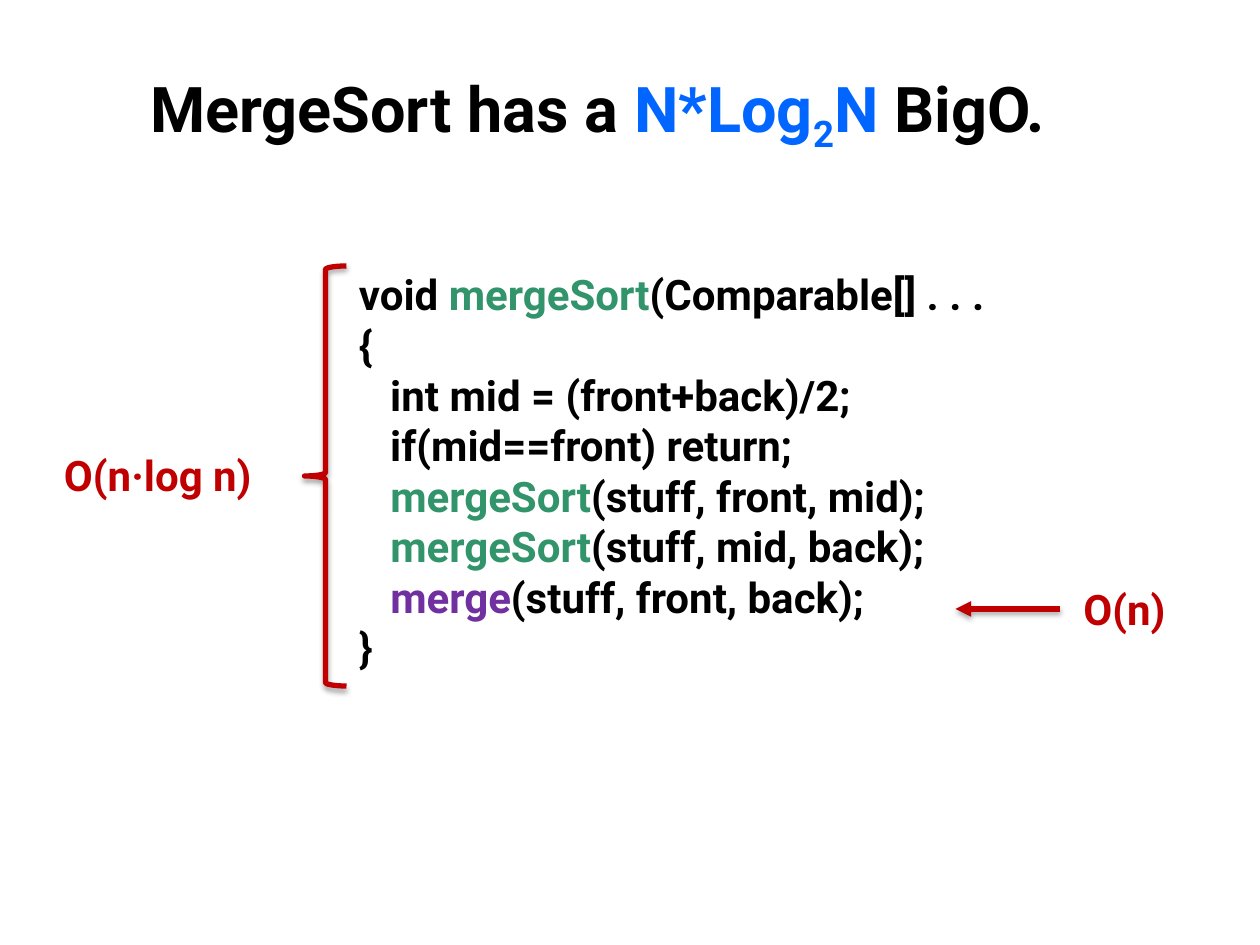
from dataclasses import dataclass

from lxml.etree import SubElement
from pptx import Presentation
from pptx.dml.color import RGBColor as RGB
from pptx.enum.shapes import MSO_CONNECTOR as Connector
from pptx.enum.shapes import MSO_SHAPE as Shape
from pptx.enum.text import MSO_AUTO_SIZE as AutoSize
from pptx.enum.text import PP_ALIGN as Align
from pptx.oxml.ns import qn
from pptx.util import Pt


@dataclass(frozen=True)
class Theme:
    font: str = "Roboto"
    title_size: int = 36
    body_size: int = 24
    stroke: int = 3
    ink: str = "000000"
    formula: str = "0066FF"
    recursive: str = "32946A"
    helper: str = "7030A0"
    cost: str = "C00000"


THEME = Theme()
SUBSCRIPT = "-25000"

TITLE = [[
    ("MergeSort has a ", THEME.ink),
    ("N*Log", THEME.formula),
    ("2", THEME.formula, SUBSCRIPT),
    ("N ", THEME.formula),
    ("BigO.", THEME.ink),
]]


def call_line(method, arguments, color):
    return [("   ", THEME.ink), (method, color), (arguments, THEME.ink)]


CODE = [
    [("void ", THEME.ink), ("mergeSort", THEME.recursive),
     ("(Comparable[] . . .", THEME.ink)],
    [("{", THEME.ink)],
    [("   int mid = (front+back)/2;", THEME.ink)],
    [("   if(mid==front) return;", THEME.ink)],
    call_line("mergeSort", "(stuff, front, mid);", THEME.recursive),
    call_line("mergeSort", "(stuff, mid, back);", THEME.recursive),
    call_line("merge", "(stuff, front, back);", THEME.helper),
    [("}", THEME.ink)],
]


def apply_format(target, values):
    for name, value in values.items():
        setattr(target, name, value)


def add_text(slide, box, lines, size=THEME.body_size, align=Align.LEFT, wrap=False):
    frame = slide.shapes.add_textbox(*map(Pt, box)).text_frame
    apply_format(frame, {"word_wrap": wrap, "auto_size": AutoSize.SHAPE_TO_FIT_TEXT})
    for index, line in enumerate(lines):
        paragraph = frame.add_paragraph() if index else frame.paragraphs[0]
        paragraph.alignment = align
        for text, color, *baseline in line:
            run = paragraph.add_run()
            run.text = text
            apply_format(run.font, {"name": THEME.font, "size": Pt(size), "bold": True})
            run.font.color.rgb = RGB.from_string(color)
            for offset in baseline:
                run.font._element.get_or_add_rPr().set("baseline", offset) if hasattr(
                    run.font._element, "get_or_add_rPr"
                ) else run._r.get_or_add_rPr().set("baseline", offset)


def add_cost(slide, box, text):
    add_text(slide, box, [[(text, THEME.cost)]])


def style_mark(mark):
    mark.line.color.rgb = RGB.from_string(THEME.cost)
    mark.line.width = Pt(THEME.stroke)
    effects = SubElement(mark._element.spPr, qn("a:effectLst"))
    shadow = SubElement(effects, qn("a:outerShdw"), blurRad=str(Pt(3.1)),
                        dist=str(Pt(1.8)), dir="5400000", rotWithShape="0")
    shade = SubElement(shadow, qn("a:srgbClr"), val=THEME.ink)
    SubElement(shade, qn("a:alpha"), val="35000")


def add_brace(slide, box):
    brace = slide.shapes.add_shape(Shape.LEFT_BRACE, *map(Pt, box))
    brace.fill.background()
    style_mark(brace)


def add_arrow(slide, start, end):
    arrow = slide.shapes.add_connector(Connector.STRAIGHT, *map(Pt, start + end))
    style_mark(arrow)
    SubElement(arrow.line._get_or_add_ln(), qn("a:tailEnd"), type="triangle")


def main():
    deck = Presentation()
    apply_format(deck, {"slide_width": Pt(720), "slide_height": Pt(540)})
    slide = deck.slides.add_slide(deck.slide_layouts[6])

    add_text(slide, (26.5, 36, 630, 51), TITLE, THEME.title_size, Align.CENTER, True)
    add_text(slide, (198, 150, 425, 240), CODE)
    add_arrow(slide, (606, 348), (546, 348))
    add_cost(slide, (612, 330, 70.5, 36), "O(n)")
    add_brace(slide, (174, 152, 24, 240))
    add_cost(slide, (29.5, 253.5, 138, 36), "O(n·log n)")

    deck.save("out.pptx")


if __name__ == "__main__":
    main()
